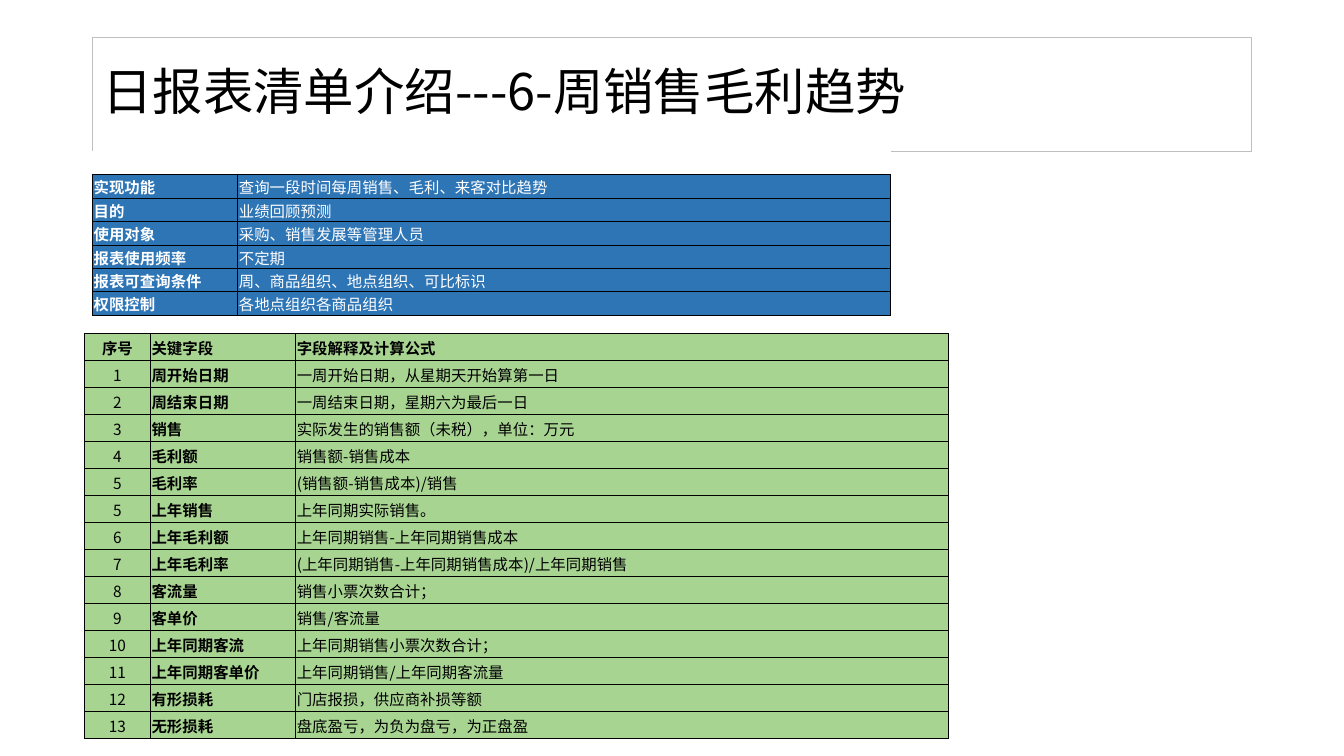
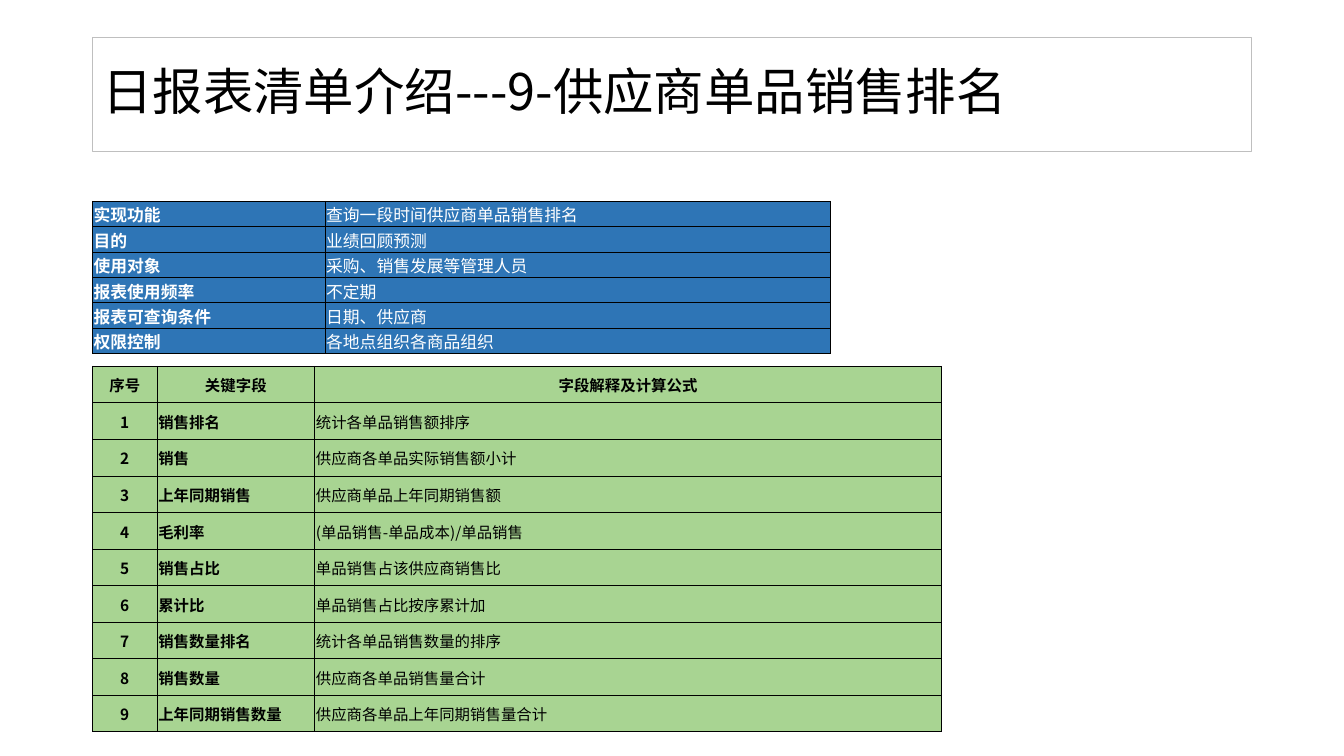
from lxml import etree
from pptx import Presentation
from pptx.dml.color import RGBColor
from pptx.enum.text import MSO_ANCHOR, PP_ALIGN
from pptx.oxml.ns import qn
from pptx.util import Cm, Pt

MIDDLE = MSO_ANCHOR.MIDDLE
LEFT, CENTER = PP_ALIGN.LEFT, PP_ALIGN.CENTER

FONT = "Noto Sans CJK SC"
BLACK, WHITE, GREY = "000000", "FFFFFF", "BFBFBF"
BLUE, GREEN = "2E75B6", "A8D492"
MARGIN = 2.33
TITLE_BOX = (MARGIN, 0.94, 29.21, 2.87)
INSET = 0.03
SIDES = ("lnL", "lnR", "lnT", "lnB")

HEAD = ("序号", "关键字段", "字段解释及计算公式")
BLANK = ("", "")

WEEK_INFO = [
    ("实现功能", "查询一段时间每周销售、毛利、来客对比趋势"),
    ("目的", "业绩回顾预测"),
    ("使用对象", "采购、销售发展等管理人员"),
    ("报表使用频率", "不定期"),
    ("报表可查询条件", "周、商品组织、地点组织、可比标识"),
    ("权限控制", "各地点组织各商品组织"),
]
WEEK_FIELDS = [
    ("1", "周开始日期", "一周开始日期，从星期天开始算第一日"),
    ("2", "周结束日期", "一周结束日期，星期六为最后一日"),
    ("3", "销售", "实际发生的销售额（未税），单位：万元"),
    ("4", "毛利额", "销售额-销售成本"),
    ("5", "毛利率", "(销售额-销售成本)/销售"),
    ("5", "上年销售", "上年同期实际销售。"),
    ("6", "上年毛利额", "上年同期销售-上年同期销售成本"),
    ("7", "上年毛利率", "(上年同期销售-上年同期销售成本)/上年同期销售"),
    ("8", "客流量", "销售小票次数合计；"),
    ("9", "客单价", "销售/客流量"),
    ("10", "上年同期客流", "上年同期销售小票次数合计；"),
    ("11", "上年同期客单价", "上年同期销售/上年同期客流量"),
    ("12", "有形损耗", "门店报损，供应商补损等额"),
    ("13", "无形损耗", "盘底盈亏，为负为盘亏，为正盘盈"),
]
RANK_INFO = [
    ("实现功能", "查询一段时间供应商单品销售排名"),
    *WEEK_INFO[1:4],
    ("报表可查询条件", "日期、供应商"),
    WEEK_INFO[5],
]
RANK_FIELDS = [
    ("1", "销售排名", "统计各单品销售额排序"),
    ("2", "销售", "供应商各单品实际销售额小计"),
    ("3", "上年同期销售", "供应商单品上年同期销售额"),
    ("4", "毛利率", "(单品销售-单品成本)/单品销售"),
    ("5", "销售占比", "单品销售占该供应商销售比"),
    ("6", "累计比", "单品销售占比按序累计加"),
    ("7", "销售数量排名", "统计各单品销售数量的排序"),
    ("8", "销售数量", "供应商各单品销售量合计"),
    ("9", "上年同期销售数量", "供应商各单品上年同期销售量合计"),
]


def color(code):
    return RGBColor.from_string(code)


def write(frame, text, size, ink, bold=False, align=LEFT):
    """Fill a text frame with one paragraph, in FONT for Latin and Chinese."""
    para = frame.paragraphs[0]
    para.text = text
    para.alignment = align
    font = para.font
    font.size, font.bold, font.name = Pt(size), bold, FONT
    font.color.rgb = color(ink)
    props = para._p.pPr.find(qn("a:defRPr"))
    etree.SubElement(props, qn("a:ea"), typeface=FONT)
    if not text:
        etree.SubElement(para._p, qn("a:endParaRPr"), sz=str(size * 100))
    return para


def add_title(slide, text, box):
    shape = slide.shapes.add_textbox(*map(Cm, box))
    shape.line.color.rgb = color(GREY)
    shape.line.width = Pt(0.75)
    frame = shape.text_frame
    frame.word_wrap = True
    frame.vertical_anchor = MIDDLE
    write(frame, text, 36, BLACK).line_spacing = 0.9


def add_border(cell, sides):
    props = cell._tc.get_or_add_tcPr()
    for side in sides:
        line = etree.SubElement(props, qn(f"a:{side}"), w=str(Pt(0.5)))
        fill = etree.SubElement(line, qn("a:solidFill"))
        etree.SubElement(fill, qn("a:srgbClr"), val=BLACK)


def add_grid(slide, rows, left, top, widths, height, fill, ink, size, style):
    """Draw a table; style(row, col) gives the bold flag and alignment."""
    frame = slide.shapes.add_table(
        len(rows), len(widths), Cm(left), Cm(top),
        Cm(sum(widths)), Cm(height * len(rows)))
    table = frame.table
    table.first_row = table.horz_banding = False
    for col, width in zip(table.columns, widths):
        col.width = Cm(width)
    for r, row in enumerate(rows):
        table.rows[r].height = Cm(height)
        for c, text in enumerate(row):
            cell = table.cell(r, c)
            cell.margin_left = cell.margin_right = cell.margin_top = Cm(INSET)
            cell.margin_bottom = 0
            cell.vertical_anchor = MIDDLE
            add_border(cell, SIDES if text else SIDES[-1:])
            if text:
                cell.fill.solid()
                cell.fill.fore_color.rgb = color(fill)
            else:
                cell.fill.background()
            write(cell.text_frame, text, size, ink, *style(r, c))
    return table


def add_info(slide, rows, top, widths, height, size, joined):
    """Draw the summary under a clear first row, joined into one cell or not."""
    table = add_grid(slide, [BLANK, *rows], MARGIN, top, widths, height,
                     BLUE, WHITE, size, lambda r, c: (c == 0, LEFT))
    if joined:
        table.cell(0, 0).merge(table.cell(0, 1))


def add_fields(slide, rows, left, top, widths, height, strong):
    """Draw the field list; strong means bold numbers and a centred head."""
    def style(r, c):
        bold = r == 0 or c == 1 or (strong and c == 0)
        mid = c == 0 or (strong and r == 0)
        return bold, CENTER if mid else LEFT

    add_grid(slide, [HEAD, *rows], left, top, widths, height,
             GREEN, BLACK, 11, style)


def add_report(deck, title, info, fields):
    slide = deck.slides.add_slide(deck.slide_layouts[6])
    add_title(slide, title, TITLE_BOX)
    add_info(slide, **info)
    add_fields(slide, **fields)


def main():
    deck = Presentation()
    deck.slide_width, deck.slide_height = Cm(33.87), Cm(19.05)
    add_report(
        deck, "日报表清单介绍---6-周销售毛利趋势",
        dict(rows=WEEK_INFO, top=3.81, widths=(3.66, 16.45),
             height=0.59, size=11, joined=True),
        dict(rows=WEEK_FIELDS, left=2.13, top=8.4,
             widths=(1.66, 3.66, 16.45), height=0.68, strong=False))
    add_report(
        deck, "日报表清单介绍---9-供应商单品销售排名",
        dict(rows=RANK_INFO, top=4.43, widths=(5.86, 12.74),
             height=0.64, size=12, joined=False),
        dict(rows=RANK_FIELDS, left=MARGIN, top=9.23,
             widths=(1.63, 3.97, 15.8), height=0.92, strong=True))
    deck.save("out.pptx")


if __name__ == "__main__":
    main()
